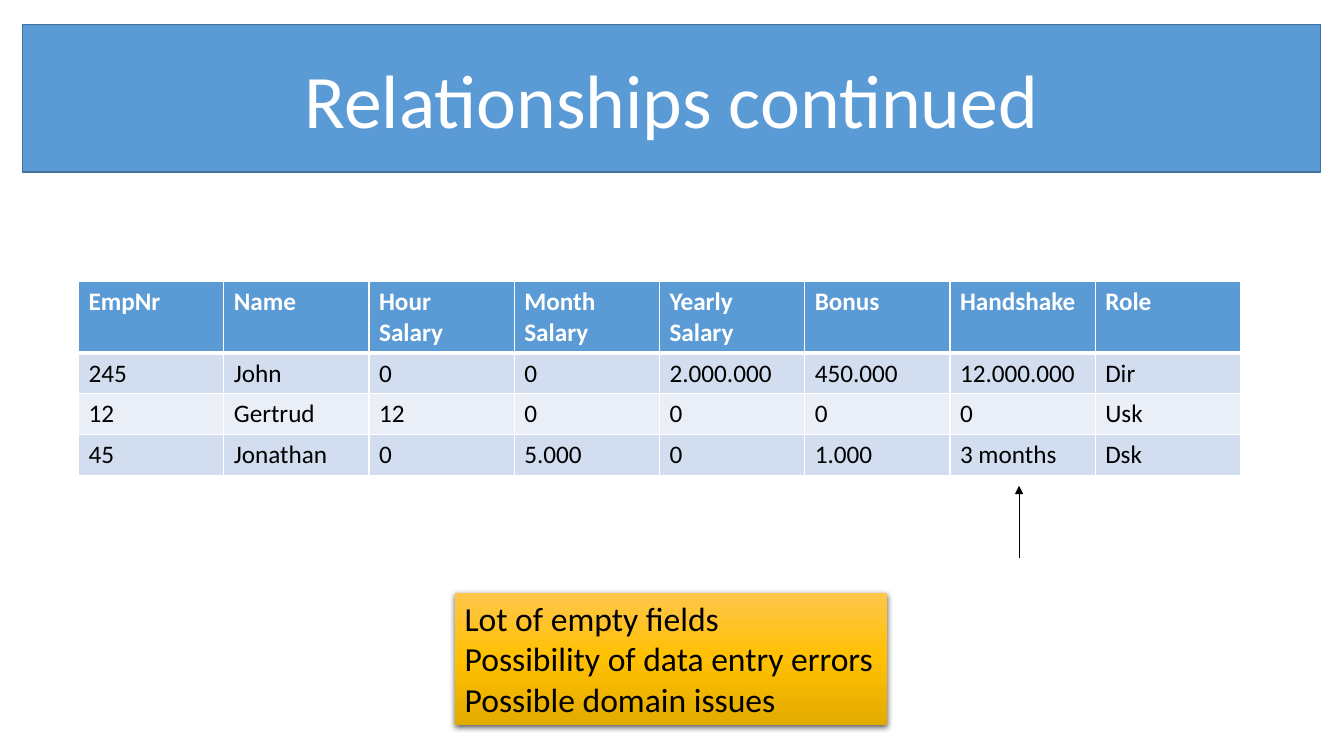
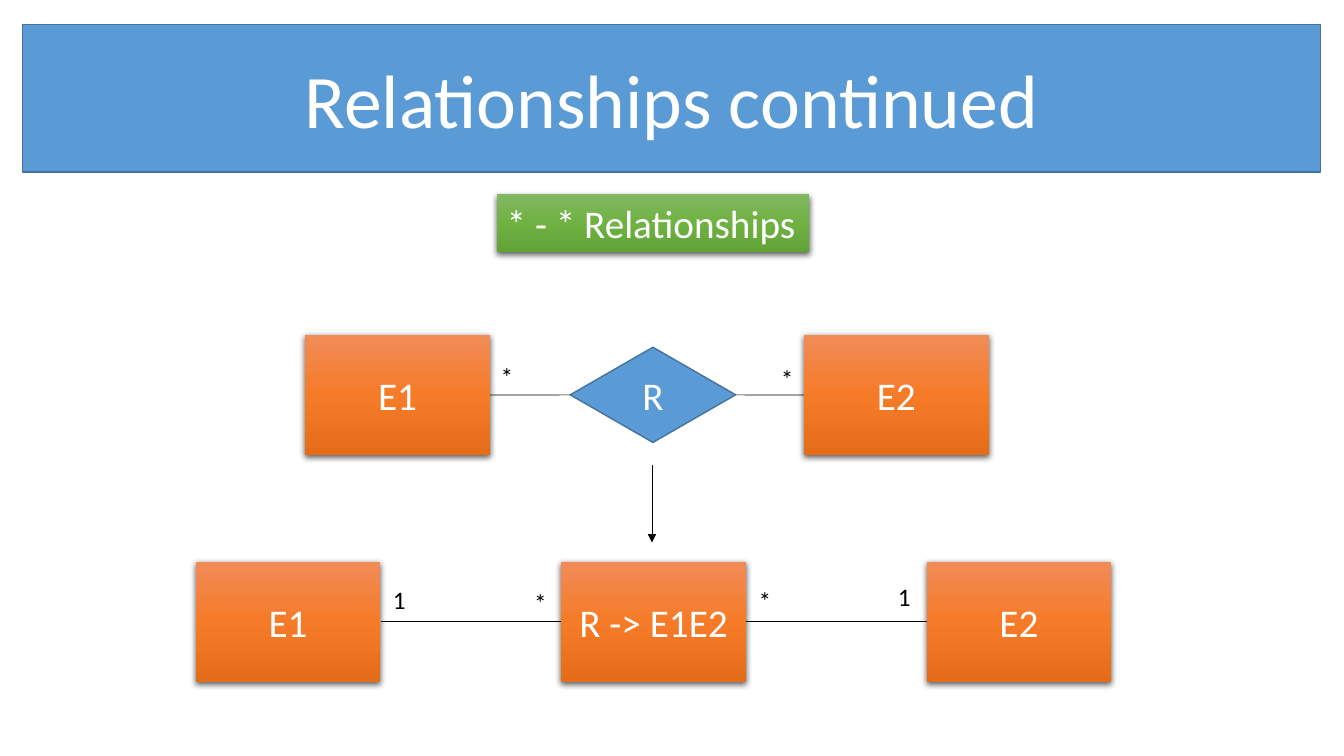
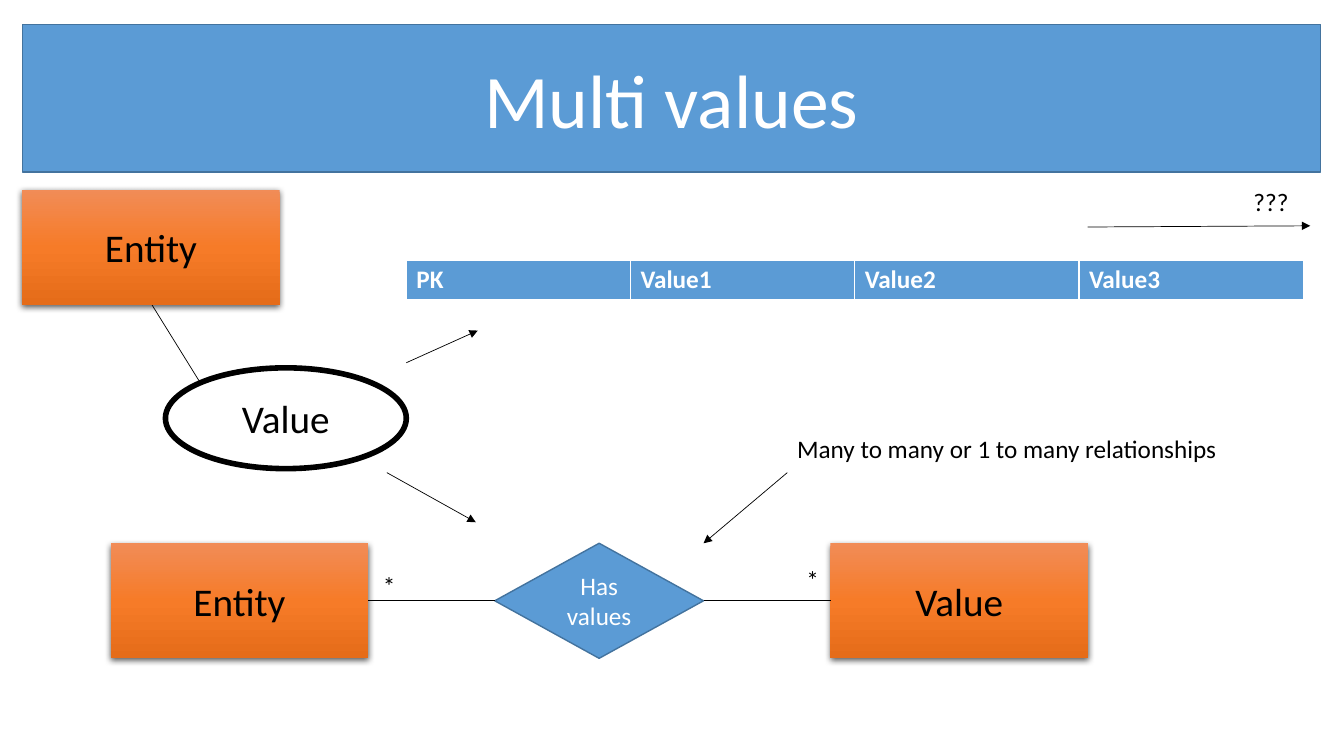
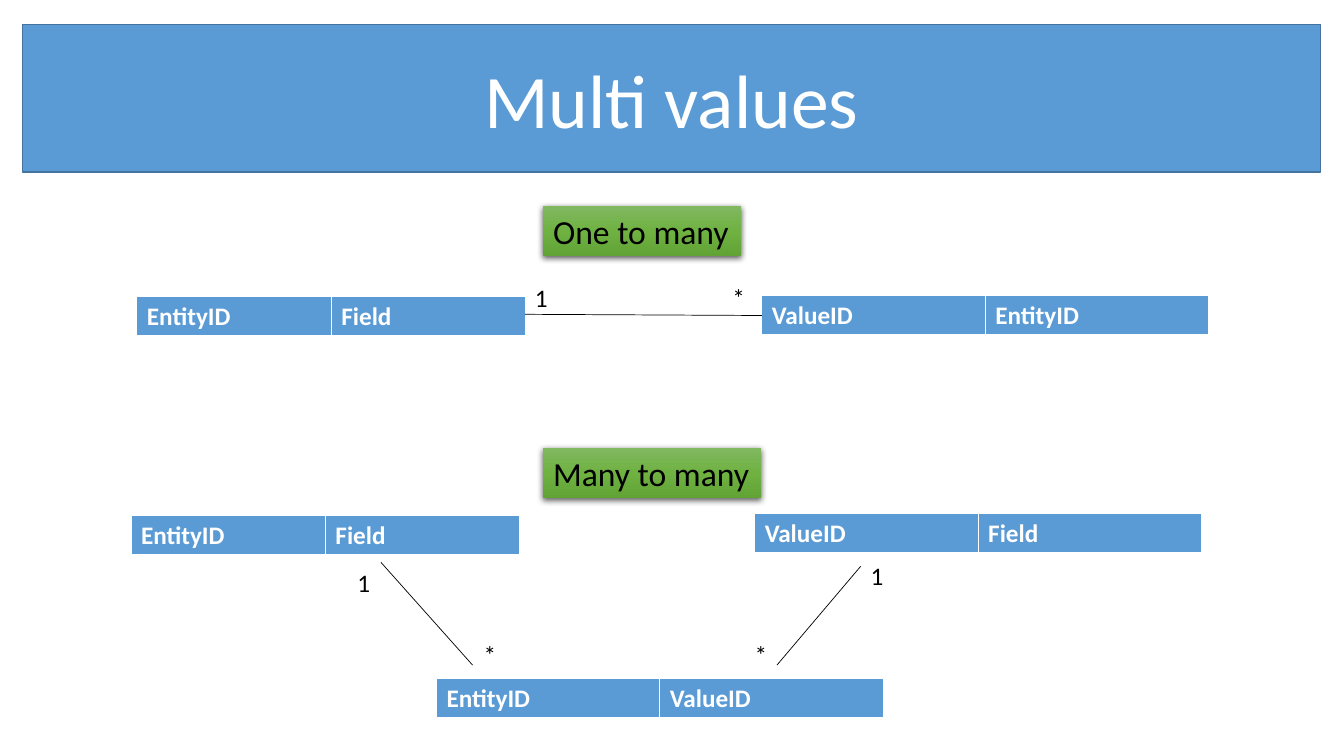
from pptx import Presentation
from pptx.dml.color import RGBColor
from pptx.enum.shapes import MSO_CONNECTOR, MSO_SHAPE
from pptx.enum.text import MSO_ANCHOR, MSO_AUTO_SIZE, PP_ALIGN
from pptx.oxml import parse_xml
from pptx.oxml.ns import nsdecls, qn
from pptx.util import Cm, Pt

STRAIGHT = MSO_CONNECTOR.STRAIGHT
RECTANGLE = MSO_SHAPE.RECTANGLE
ELLIPSE = MSO_SHAPE.OVAL
DIAMOND = MSO_SHAPE.FLOWCHART_DECISION
TOP, MIDDLE = MSO_ANCHOR.TOP, MSO_ANCHOR.MIDDLE
FIXED, GROW = MSO_AUTO_SIZE.NONE, MSO_AUTO_SIZE.SHAPE_TO_FIT_TEXT
LEFT, CENTER = PP_ALIGN.LEFT, PP_ALIGN.CENTER
LEFT_SITE, RIGHT_SITE = 1, 3

BLACK = RGBColor(0x00, 0x00, 0x00)
WHITE = RGBColor(0xFF, 0xFF, 0xFF)
BLUE = RGBColor(0x5B, 0x9B, 0xD5)
DARK_BLUE = RGBColor(0x43, 0x73, 0x9E)
BAND_DARK = RGBColor(0xD2, 0xDE, 0xEF)
BAND_LIGHT = RGBColor(0xEA, 0xEF, 0xF7)
ORANGE = [RGBColor(0xF1, 0x8C, 0x57), RGBColor(0xF6, 0x7B, 0x28), RGBColor(0xE5, 0x6C, 0x19)]
GREEN = [RGBColor(0x81, 0xB8, 0x61), RGBColor(0x6F, 0xB2, 0x42), RGBColor(0x62, 0xA3, 0x36)]
GOLD = [RGBColor(0xFF, 0xC6, 0x4B), RGBColor(0xFF, 0xC0, 0x00), RGBColor(0xE3, 0xAB, 0x00)]

FONT = "Calibri"
TITLE_ONLY = 5
ROW_HEIGHT = 1.03
CENTERED = {"word_wrap": True, "auto_size": FIXED, "vertical_anchor": MIDDLE}
FITTED = {"word_wrap": False, "auto_size": GROW, "vertical_anchor": TOP}


class Deck:
    def __init__(self):
        self.presentation = Presentation()
        self.presentation.slide_width = Cm(33.87)
        self.presentation.slide_height = Cm(19.05)
        self.slide = None

    def start(self, heading):
        layout = self.presentation.slide_layouts[TITLE_ONLY]
        self.slide = self.presentation.slides.add_slide(layout)
        band = self.slide.shapes.title
        bounds = {"left": 0.56, "top": 0.61, "width": 32.72, "height": 3.73}
        for side, length in bounds.items():
            setattr(band, side, Cm(length))
        self.paint(band, BLUE, DARK_BLUE, 1)
        self.set_text(band.text_frame, heading, 54, WHITE, CENTER, CENTERED)

    def set_text(self, frame, text, size, color, align, layout, bold=False):
        for name, value in layout.items():
            setattr(frame, name, value)
        frame.text = text
        for paragraph in frame.paragraphs:
            paragraph.alignment = align
            for run in paragraph.runs:
                for name, value in {"name": FONT, "size": Pt(size), "bold": bold}.items():
                    setattr(run.font, name, value)
                run.font.color.rgb = color

    def paint(self, shape, fill, outline, width):
        shape.fill.solid()
        shape.fill.fore_color.rgb = fill
        shape.line.color.rgb = outline
        shape.line.width = Pt(width)

    def shade(self, shape, colors):
        shape.line.fill.background()
        stops = "".join(
            f'<a:gs pos="{index * 50000}"><a:srgbClr val="{color}"/></a:gs>'
            for index, color in enumerate(colors)
        )
        properties = shape.element.spPr
        properties.find(qn("a:ln")).addprevious(parse_xml(
            f'<a:gradFill {nsdecls("a")} rotWithShape="1"><a:gsLst>{stops}</a:gsLst>'
            '<a:lin ang="5400000" scaled="0"/></a:gradFill>'
        ))
        properties.find(qn("a:effectLst")).append(parse_xml(
            f'<a:outerShdw {nsdecls("a")} blurRad="{Pt(4.5)}" dist="{Pt(1.5)}"'
            ' dir="5400000" algn="ctr" rotWithShape="0"><a:srgbClr val="000000">'
            '<a:alpha val="63000"/></a:srgbClr></a:outerShdw>'
        ))

    def outline(self, preset, left, top, width, height):
        shape = self.slide.shapes.add_shape(preset, Cm(left), Cm(top), Cm(width), Cm(height))
        shape.shadow.inherit = False
        return shape

    def card(self, text, left, top, width, height, color):
        card = self.outline(RECTANGLE, left, top, width, height)
        self.shade(card, ORANGE)
        self.set_text(card.text_frame, text, 28, color, CENTER, CENTERED)
        return card

    def badge(self, text, left, top, width, height, colors, size, color=BLACK):
        badge = self.outline(RECTANGLE, left, top, width, height)
        self.shade(badge, colors)
        self.set_text(badge.text_frame, text, size, color, LEFT, FITTED)

    def diamond(self, text, left, top, width, height, size):
        diamond = self.outline(DIAMOND, left, top, width, height)
        self.paint(diamond, BLUE, DARK_BLUE, 1)
        self.set_text(diamond.text_frame, text, size, WHITE, CENTER, CENTERED)
        return diamond

    def oval(self, text, left, top, width, height):
        oval = self.outline(ELLIPSE, left, top, width, height)
        self.paint(oval, WHITE, BLACK, 4)
        self.set_text(oval.text_frame, text, 28, BLACK, CENTER, CENTERED)

    def label(self, text, left, top, width=0.84):
        label = self.slide.shapes.add_textbox(Cm(left), Cm(top), Cm(width), Cm(ROW_HEIGHT))
        self.set_text(label.text_frame, text, 18, BLACK, LEFT, FITTED)

    def line(self, start, end, arrow=False):
        line = self.slide.shapes.add_connector(STRAIGHT, *map(Cm, start + end))
        line.line.color.rgb = BLACK
        line.line.width = Pt(0.5)
        properties = line._element.spPr
        if arrow:
            properties.find(qn("a:ln")).append(
                parse_xml(f'<a:tailEnd {nsdecls("a")} type="triangle"/>'))
        properties.append(parse_xml(f'<a:effectLst {nsdecls("a")}/>'))
        return line

    def link(self, first, second):
        link = self.line((0, 0), (0, 0))
        link.begin_connect(first, RIGHT_SITE)
        link.end_connect(second, LEFT_SITE)

    def table(self, rows, left, top, column_width, header_height=ROW_HEIGHT):
        count = len(rows[0])
        heights = [header_height] + [ROW_HEIGHT] * (len(rows) - 1)
        table = self.slide.shapes.add_table(
            len(rows), count, Cm(left), Cm(top), Cm(column_width * count), Cm(sum(heights))
        ).table
        table.horz_banding = False
        for column in table.columns:
            column.width = Cm(column_width)
        for index, (row, height) in enumerate(zip(rows, heights)):
            table.rows[index].height = Cm(height)
            header = index == 0
            band = BLUE if header else (BAND_LIGHT, BAND_DARK)[index % 2]
            for position, text in enumerate(row):
                cell = table.cell(index, position)
                self.border(cell, 3 if header else 1)
                cell.fill.solid()
                cell.fill.fore_color.rgb = band
                self.set_text(cell.text_frame, text, 18, WHITE if header else BLACK, LEFT, {}, header)

    def border(self, cell, bottom):
        properties = cell._tc.get_or_add_tcPr()
        for side, width in {"L": 1, "R": 1, "T": 1, "B": bottom}.items():
            properties.append(parse_xml(
                f'<a:ln{side} {nsdecls("a")} w="{Pt(width)}"><a:solidFill>'
                f'<a:srgbClr val="{WHITE}"/></a:solidFill></a:ln{side}>'
            ))


deck = Deck()

deck.start("Relationships continued")
employees = [
    ["EmpNr", "Name", "Hour\nSalary", "Month\nSalary", "Yearly\nSalary", "Bonus", "Handshake", "Role"],
    ["245", "John", "0", "0", "2.000.000", "450.000", "12.000.000", "Dir"],
    ["12", "Gertrud", "12", "0", "0", "0", "0", "Usk"],
    ["45", "Jonathan", "0", "5.000", "0", "1.000", "3 months", "Dsk"],
]
deck.table(employees, 1.98, 7.09, 3.66, header_height=1.78)
deck.line((25.68, 14.05), (25.68, 12.24), arrow=True)
issues = "Lot of empty fields\nPossibility of data entry errors\nPossible domain issues"
deck.badge(issues, 11.46, 14.94, 10.9, 3.33, GOLD, 24)

deck.start("Relationships continued")
deck.badge("* - * Relationships", 12.52, 4.9, 7.87, 1.45, GREEN, 28, WHITE)
first_entity, second_entity = [
    deck.card(name, left, 8.44, 4.66, 3.03, WHITE) for name, left in (("E1", 7.69), ("E2", 20.26))
]
relation = deck.diamond("R", 14.37, 8.75, 4.17, 2.4, 28)
deck.link(first_entity, relation)
deck.link(relation, second_entity)
deck.line((16.43, 11.71), (16.43, 13.67), arrow=True)
resolved = [
    deck.card(name, 4.93 + 9.21 * index, 14.15, 4.66, 3.03, WHITE)
    for index, name in enumerate(("E1", "R -> E1E2", "E2"))
]
for entity, neighbour in zip(resolved, resolved[1:]):
    deck.link(entity, neighbour)
for cardinality, left, top in (
    ("*", 12.37, 8.99), ("*", 19.43, 9.02), ("1", 9.65, 14.61),
    ("*", 13.21, 14.68), ("*", 18.87, 14.63), ("1", 22.38, 14.53),
):
    deck.label(cardinality, left, top)

deck.start("Multi values")
deck.line((3.81, 7.65), (5.05, 9.65))
deck.oval("Value", 4.17, 9.27, 6.07, 2.54)
deck.table([["PK", "Value1", "Value2", "Value3"]], 10.24, 6.55, 5.65)
owner, entity, value = [
    deck.card(name, left, top, 6.49, 2.9, BLACK)
    for name, left, top in (("Entity", 0.56, 4.78), ("Entity", 2.79, 13.69), ("Value", 20.93, 13.69))
]
has_values = deck.diamond("Has values", 12.47, 13.69, 5.26, 2.9, 18)
deck.link(entity, has_values)
deck.link(has_values, value)
for start, end in (
    ((10.24, 9.14), (12.04, 8.33)),
    ((9.75, 11.91), (11.99, 13.16)),
    ((27.41, 5.72), (33.02, 5.69)),
    ((19.84, 11.91), (17.73, 13.69)),
):
    deck.line(start, end, arrow=True)
deck.label("*", 9.4, 14.25)
deck.label("*", 20.07, 14.1)
deck.label("???", 31.34, 4.57, 1.4)
deck.label("Many to many or 1 to many relationships", 19.84, 10.8, 11.2)

deck.start("Multi values")
for fields, left, top, column_width in (
    (["EntityID", "Field"], 3.45, 7.47, 4.9),
    (["ValueID", "EntityID"], 19.2, 7.44, 5.63),
    (["EntityID", "Field"], 3.3, 12.98, 4.9),
    (["ValueID", "Field"], 19.02, 12.93, 5.63),
    (["EntityID", "ValueID"], 11, 17.09, 5.63),
):
    deck.table([fields], left, top, column_width)
for start, end in (
    ((13.23, 7.92), (19.2, 7.95)),
    ((9.6, 14.17), (11.91, 16.76)),
    ((21.69, 14.27), (19.58, 16.76)),
):
    deck.line(start, end)
for cardinality, left, top in (
    ("1", 13.23, 6.99), ("*", 18.21, 6.99), ("1", 8.76, 14.17),
    ("*", 11.94, 15.98), ("*", 18.77, 15.98), ("1", 21.69, 14),
):
    deck.label(cardinality, left, top)
deck.badge("One to many", 13.69, 5.18, 4.98, 1.27, GREEN, 24)
deck.badge("Many to many", 13.69, 11.28, 5.49, 1.27, GREEN, 24)

deck.presentation.save("out.pptx")
